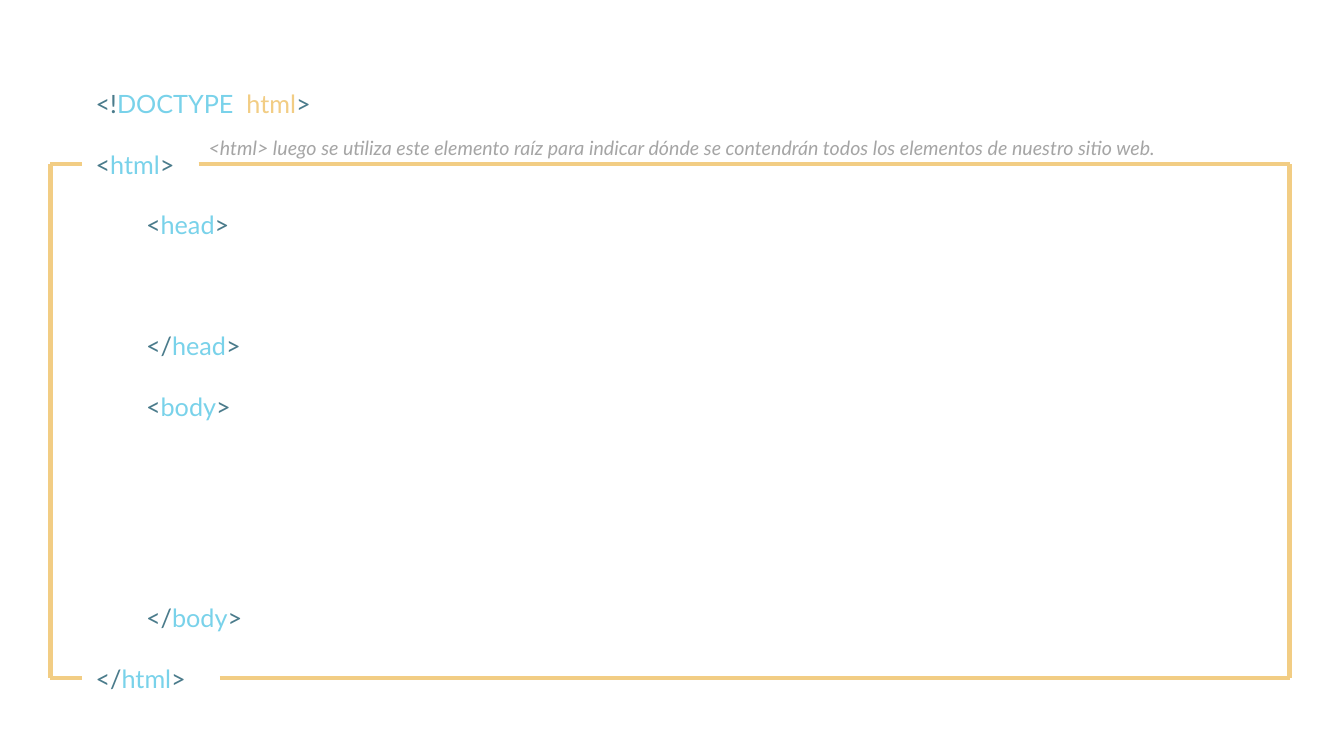
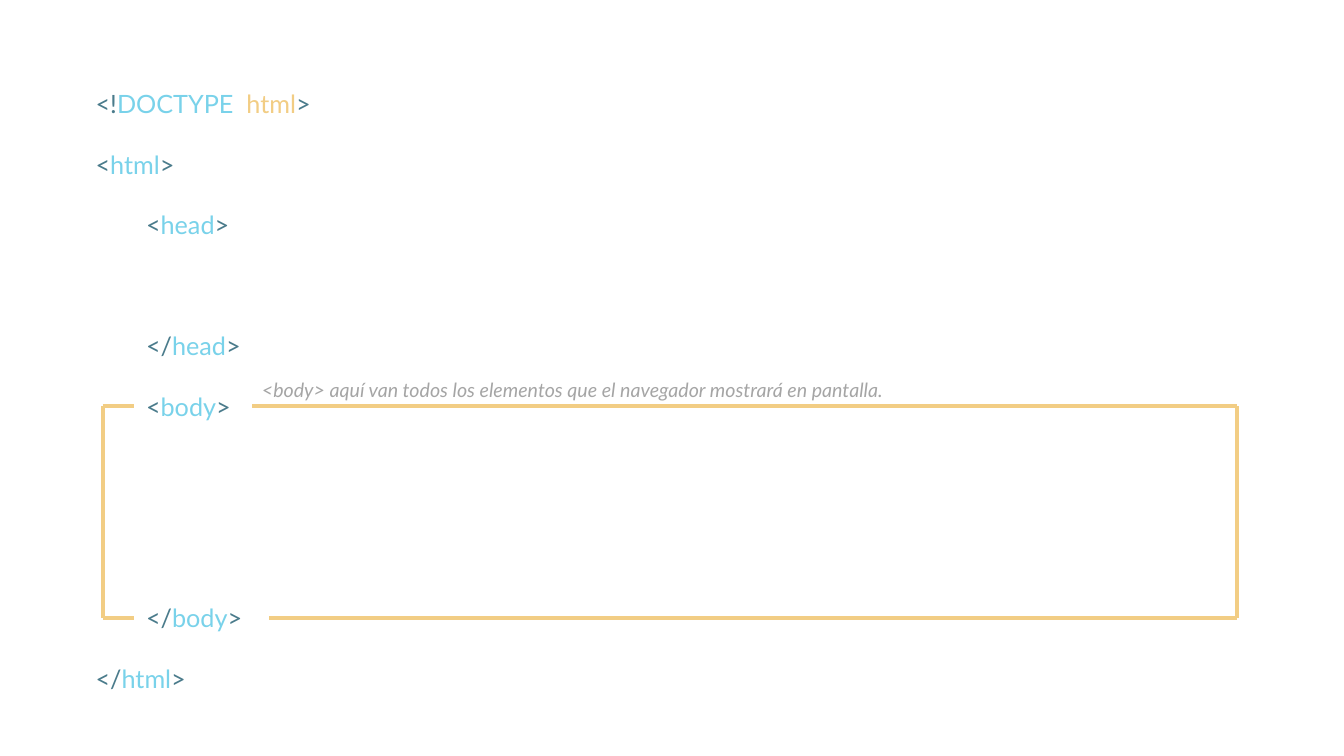
from dataclasses import dataclass

from lxml.etree import SubElement
from pptx import Presentation
from pptx.dml.color import RGBColor
from pptx.enum.shapes import MSO_CONNECTOR
from pptx.enum.text import MSO_ANCHOR
from pptx.oxml.ns import qn
from pptx.util import Inches, Pt


@dataclass(frozen=True)
class Theme:
    """Colours, type sizes and grid measures (inches) shared by the slides."""

    background: RGBColor = RGBColor(0xFF, 0xFF, 0xFF)
    bracket: RGBColor = RGBColor(0x4A, 0x7B, 0x8B)
    tag: RGBColor = RGBColor(0x79, 0xD2, 0xEA)
    accent: RGBColor = RGBColor(0xF2, 0xCD, 0x84)
    note: RGBColor = RGBColor(0xA5, 0xA5, 0xA5)
    font: str = "Lato"
    code_size: int = 18
    note_size: int = 14
    line_width: int = 3
    width: float = 13.33
    height: float = 7.5
    code_left: float = 0.85
    code_top: float = 0.83
    code_width: float = 11.79
    inset: float = 0.05
    row: float = 0.3
    indent: float = 0.5
    frame_left: float = 0.5
    frame_right: float = 12.79
    frame_step: float = 0.52
    stub: float = 0.31
    note_height: float = 0.34


@dataclass(frozen=True)
class Frame:
    """A bordered element: its nesting level, tag rows and line starts."""

    level: int
    first_row: int
    last_row: int
    top_start: float
    bottom_start: float
    note: str
    note_width: float


THEME = Theme()

CODE = [
    (0, 0, [("<!", THEME.bracket), ("DOCTYPE  ", THEME.tag),
            ("html", THEME.accent), (">", THEME.bracket)]),
] + [
    (row, level, [(opening, THEME.bracket), (name, THEME.tag), (">", THEME.bracket)])
    for row, level, opening, name in [
        (2, 0, "<", "html"),
        (4, 1, "<", "head"),
        (8, 1, "</", "head"),
        (10, 1, "<", "body"),
        (17, 1, "</", "body"),
        (19, 0, "</", "html"),
    ]
]

FRAMES = [
    Frame(0, 2, 19, 1.97, 2.18,
          "<html> luego se utiliza este elemento raíz para indicar dónde "
          "se contendrán todos los elementos de nuestro sitio web.", 10.49),
    Frame(1, 10, 17, 2.5, 2.67,
          "<body> aquí van todos los elementos que el navegador "
          "mostrará en pantalla.", 6.96),
]


def row_middle(row):
    """Return the height of the middle of a code row."""
    return THEME.code_top + THEME.inset + (row + 0.5) * THEME.row


def add_text_frame(page, left, top, width, height):
    """Add a wrapping text box and return its text frame."""
    box = page.shapes.add_textbox(*map(Inches, (left, top, width, height)))
    frame = box.text_frame
    frame.word_wrap = True
    frame.vertical_anchor = MSO_ANCHOR.TOP
    return frame


def add_span(para, text, size, color, italic=False):
    """Add one formatted run to a paragraph."""
    span = para.add_run()
    span.text = text
    span.font.name = THEME.font
    span.font.size = Pt(size)
    span.font.italic = italic
    span.font.color.rgb = color


def add_code(page):
    """Write the code, spacing each line from the one before by its row."""
    rows = CODE[-1][0] + 1
    frame = add_text_frame(page, THEME.code_left, THEME.code_top, THEME.code_width,
                           rows * THEME.row + 2 * THEME.inset)
    previous = None
    for row, level, spans in CODE:
        if previous is None:
            para = frame.paragraphs[0]
        else:
            para = frame.add_paragraph()
            para.space_before = Inches((row - previous - 1) * THEME.row)
        para.level = level
        properties = para._p.get_or_add_pPr()
        properties.set("marL", str(Inches(level * THEME.indent)))
        properties.set("indent", "0")
        for text, color in spans:
            add_span(para, text, THEME.code_size, color)
        previous = row


def add_line(page, start, end):
    """Draw one border line without a shadow."""
    line = page.shapes.add_connector(MSO_CONNECTOR.STRAIGHT, *map(Inches, start + end))
    line.line.color.rgb = THEME.accent
    line.line.width = Pt(THEME.line_width)
    SubElement(line._element.spPr, qn("a:effectLst"))


def add_frame(page, frame):
    """Draw a border that opens around the tags, with its note on top."""
    left = THEME.frame_left + frame.level * THEME.frame_step
    right = THEME.frame_right - frame.level * THEME.frame_step
    top, bottom = row_middle(frame.first_row), row_middle(frame.last_row)
    for x in (left, right):
        add_line(page, (x, top), (x, bottom))
    for y, start in ((top, frame.top_start), (bottom, frame.bottom_start)):
        add_line(page, (left, y), (left + THEME.stub, y))
        add_line(page, (start, y), (right, y))
    note = add_text_frame(page, frame.top_start, top - THEME.note_height + 0.01,
                          frame.note_width, THEME.note_height)
    add_span(note.paragraphs[0], frame.note, THEME.note_size, THEME.note, italic=True)


def main():
    """Build one slide for each framed element."""
    deck = Presentation()
    deck.slide_width = Inches(THEME.width)
    deck.slide_height = Inches(THEME.height)
    for frame in FRAMES:
        page = deck.slides.add_slide(deck.slide_layouts.get_by_name("Blank"))
        page.background.fill.solid()
        page.background.fill.fore_color.rgb = THEME.background
        add_code(page)
        add_frame(page, frame)
    deck.save("out.pptx")


if __name__ == "__main__":
    main()
